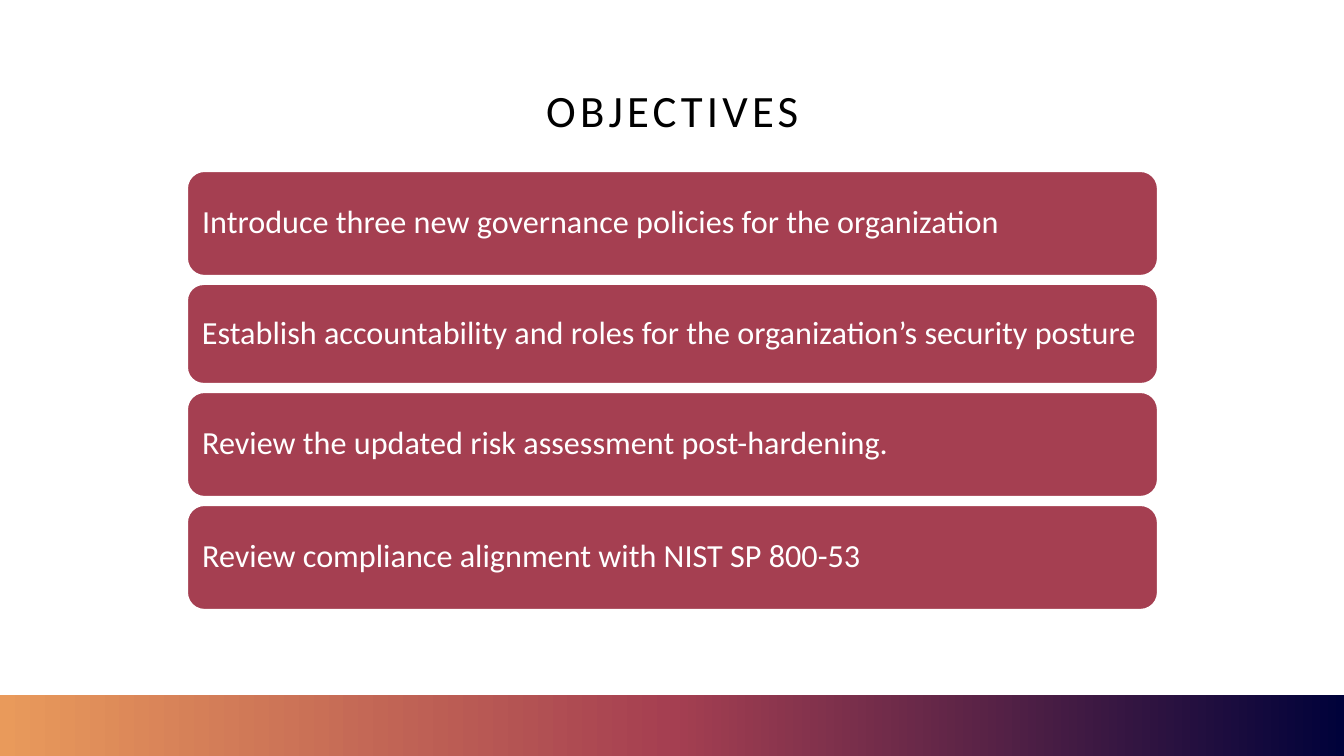
from copy import deepcopy

from pptx import Presentation
from pptx.dml.color import RGBColor
from pptx.enum.shapes import MSO_SHAPE as SHAPE
from pptx.enum.text import MSO_ANCHOR as ANCHOR, PP_ALIGN as ALIGN
from pptx.oxml.ns import qn
from pptx.util import Pt

TITLE = "OBJECTIVES"
OBJECTIVES = [  # text, card height in px
    ("Introduce three new governance policies for the organization", 105),
    ("Establish accountability and roles for the organization’s security posture", 100),
    ("Review the updated risk assessment post-hardening.", 105),
    ("Review compliance alignment with NIST SP 800-53", 105),
]
COLORS = {"orange": "E99A5B", "berry": "A53F51", "navy": "00023A",
          "white": "FFFFFF", "black": "000000"}
BAR_STOPS = [(0, "orange"), (0.5, "berry"), (1, "navy")]

SLIDE_W, SLIDE_H = 1344, 756
BAR_H = 61
TITLE_BOX = (93, 40, 1159, 146)
CARD_X, CARD_Y, CARD_W, CARD_GAP = 187, 171, 971, 8
CARD_INSET = 10
EMU_PER_PX = 914400 / 100.8


def px(n):
    return round(n * EMU_PER_PX)


def rgb(name):
    return RGBColor.from_string(COLORS[name])


def write(sp, text, size, color, align):
    tf = sp.text_frame
    tf.word_wrap = True
    tf.vertical_anchor = ANCHOR.MIDDLE
    p = tf.paragraphs[0]
    p.alignment = align
    p.line_spacing = 0.9
    r = p.add_run()
    r.text = text
    for name, value in {"name": "Calibri", "size": Pt(size)}.items():
        setattr(r.font, name, value)
    r.font.color.rgb = rgb(color)
    return r


def add_shape(slide, kind, x, y, w, h):
    sp = slide.shapes.add_shape(kind, px(x), px(y), px(w), px(h))
    sp.shadow.inherit = False
    return sp


def add_bar(slide):
    bar = add_shape(slide, SHAPE.RECTANGLE, 0, SLIDE_H - BAR_H, SLIDE_W, BAR_H)
    bar.line.fill.background()
    bar.fill.gradient()
    bar.fill.gradient_angle = 0
    # A new gradient has two stops; the third is a clone of the last.
    stop_list = bar._element.spPr.find(qn("a:gradFill")).find(qn("a:gsLst"))
    stop_list.append(deepcopy(stop_list[-1]))
    for stop, (position, color) in zip(bar.fill.gradient_stops, BAR_STOPS):
        stop.position = position
        stop.color.rgb = rgb(color)


def add_title(slide):
    title = slide.shapes.title
    for name, value in zip(("left", "top", "width", "height"), TITLE_BOX):
        setattr(title, name, px(value))
    r = write(title, TITLE, 32, "black", ALIGN.CENTER)
    r.font._element.set("spc", "300")


def add_cards(slide):
    y = CARD_Y
    for text, height in OBJECTIVES:
        card = add_shape(slide, SHAPE.ROUNDED_RECTANGLE, CARD_X, y, CARD_W, height)
        card.fill.solid()
        card.fill.fore_color.rgb = rgb("berry")
        card.line.color.rgb = rgb("white")
        card.line.width = Pt(1.5)
        for side in ("left", "right", "top", "bottom"):
            setattr(card.text_frame, f"margin_{side}", px(CARD_INSET))
        write(card, text, 23, "white", ALIGN.LEFT)
        y += height + CARD_GAP


def main():
    prs = Presentation()
    prs.slide_width, prs.slide_height = px(SLIDE_W), px(SLIDE_H)
    slide = prs.slides.add_slide(prs.slide_layouts.get_by_name("Title Only"))
    add_bar(slide)
    add_title(slide)
    add_cards(slide)
    prs.save("out.pptx")


if __name__ == "__main__":
    main()
